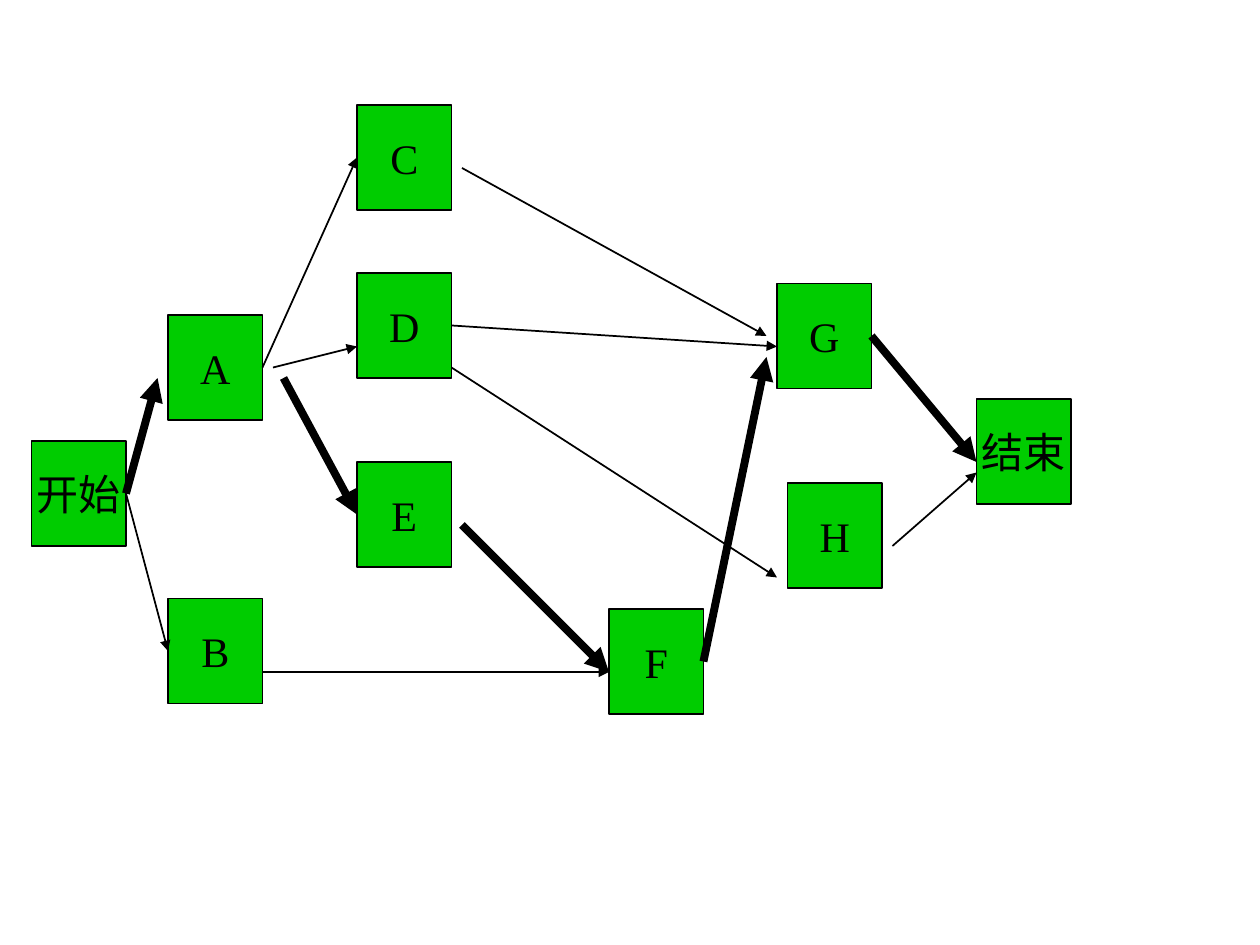
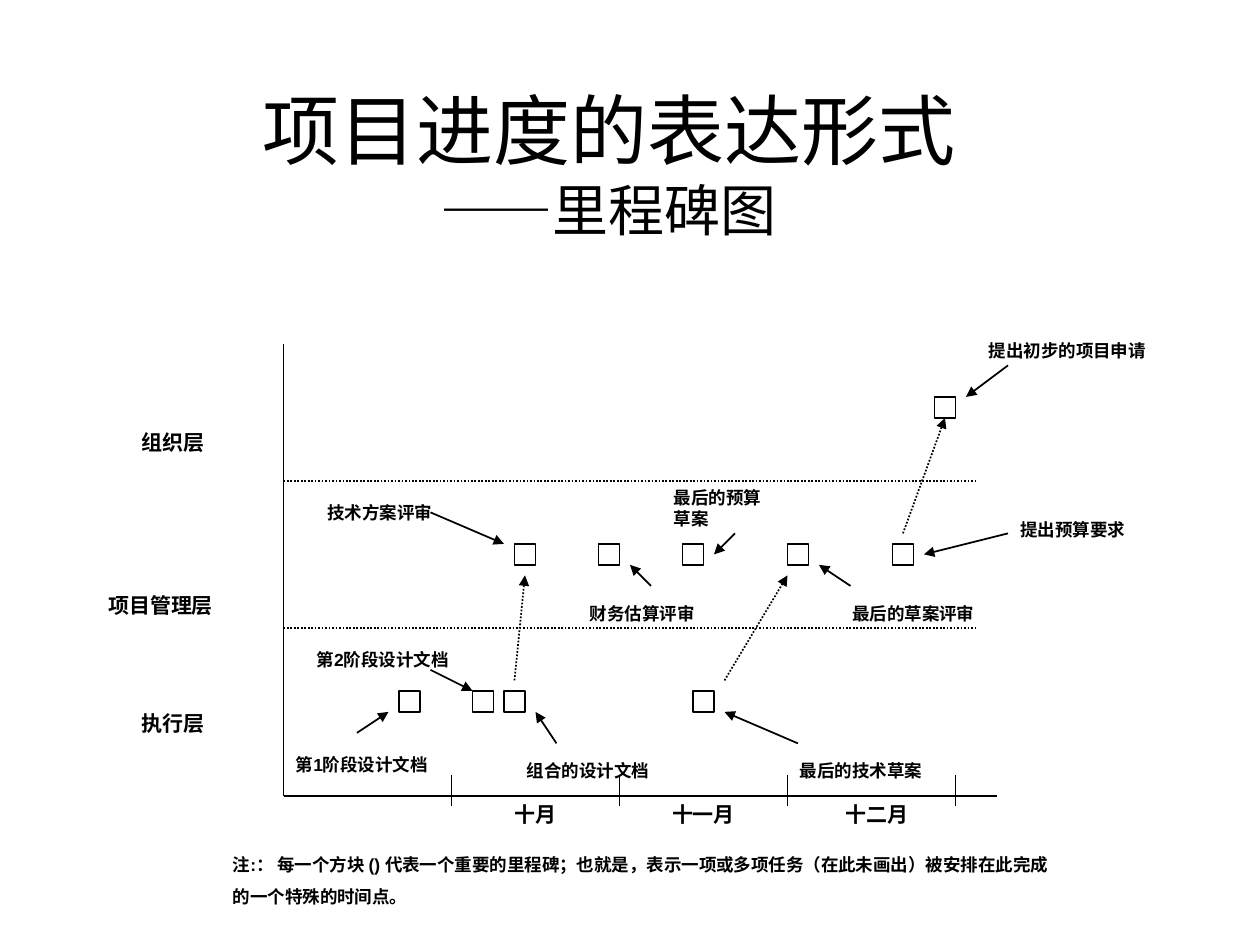
from lxml import etree
from pptx import Presentation
from pptx import util as u
from pptx.dml.color import RGBColor
from pptx.enum import dml, shapes, text
from pptx.oxml import ns

BLACK = RGBColor(0x00, 0x00, 0x00)
GREEN = RGBColor(0x00, 0xCC, 0x00)
COLUMNS, ROWS = 120, 90
THIN, THICK = 1, 4.5
LEFT, CENTER = text.PP_ALIGN.LEFT, text.PP_ALIGN.CENTER


class Deck:
    """Draws on the current slide; lengths are grid columns and rows."""

    def __init__(self):
        self.presentation = Presentation()
        self.presentation.slide_width = u.Inches(10)
        self.presentation.slide_height = u.Inches(7.5)
        self.column = self.presentation.slide_width / COLUMNS
        self.row = self.presentation.slide_height / ROWS

    def new_slide(self, shift=0):
        """Start a blank slide whose rows are moved down by shift."""
        layout = self.presentation.slide_layouts[6]
        self.slide = self.presentation.slides.add_slide(layout)
        self.shift = shift
        self.sites = {}

    def x(self, column):
        return round(column * self.column)

    def y(self, row):
        return round((row + self.shift) * self.row)

    def frame(self, left, top, width, height):
        return (self.x(left), self.y(top),
                round(width * self.column), round(height * self.row))

    def add_run(self, paragraph, words, size, font, bold=False):
        run = paragraph.add_run()
        run.text = words
        run.font.size = u.Pt(size)
        run.font.name = font
        run.font.bold = bold
        run.font.color.rgb = BLACK

    def box(self, left, top, width, height, fill=None, words=None):
        """Add an outlined rectangle and note the middles of its sides."""
        shape = self.slide.shapes.add_shape(
            shapes.MSO_SHAPE.RECTANGLE, *self.frame(left, top, width, height))
        shape.shadow.inherit = False
        shape.line.color.rgb = BLACK
        shape.line.width = u.Pt(THIN)
        if fill is None:
            shape.fill.background()
        else:
            shape.fill.solid()
            shape.fill.fore_color.rgb = fill
        if words:
            shape.text_frame.word_wrap = False
            shape.text_frame.vertical_anchor = text.MSO_ANCHOR.MIDDLE
            paragraph = shape.text_frame.paragraphs[0]
            paragraph.alignment = CENTER
            self.add_run(paragraph, words, 24, "Times New Roman")
        middle_x, middle_y = left + width / 2, top + height / 2
        middles = [(middle_x, top), (left, middle_y),
                   (middle_x, top + height), (left + width, middle_y)]
        for site, point in enumerate(middles):
            self.sites[point] = shape, site

    def line(self, start, end, weight=THIN, dotted=False, arrow=False):
        """Add a line, joined to any rectangle side whose middle it meets."""
        connector = self.slide.shapes.add_connector(
            shapes.MSO_CONNECTOR.STRAIGHT, self.x(start[0]), self.y(start[1]),
            self.x(end[0]), self.y(end[1]))
        if start in self.sites:
            connector.begin_connect(*self.sites[start])
        if end in self.sites:
            connector.end_connect(*self.sites[end])
        connector.line.color.rgb = BLACK
        connector.line.width = u.Pt(weight)
        if dotted:
            connector.line.dash_style = dml.MSO_LINE.ROUND_DOT
        if arrow:
            outline = connector.line._get_or_add_ln()
            etree.SubElement(outline, ns.qn("a:tailEnd"), type="triangle")
        etree.SubElement(connector._element.spPr, ns.qn("a:effectLst"))

    def title(self, left, top, width, height, heading, subheading):
        shape = self.slide.shapes.add_textbox(*self.frame(left, top, width, height))
        shape.text_frame.word_wrap = True
        shape.text_frame.vertical_anchor = text.MSO_ANCHOR.MIDDLE
        paragraph = shape.text_frame.paragraphs[0]
        paragraph.alignment = CENTER
        self.add_run(paragraph, heading, 44, "Cabin")
        paragraph.add_line_break()
        self.add_run(paragraph, subheading, 32, "Cabin")

    def label(self, left, bottom, width, *lines, height=3.2, size=10,
              align=LEFT, spacing=None):
        """Add bold text that stands on the given row."""
        shape = self.slide.shapes.add_textbox(
            *self.frame(left, bottom - height, width, height))
        text_frame = shape.text_frame
        text_frame.word_wrap = True
        text_frame.auto_size = text.MSO_AUTO_SIZE.SHAPE_TO_FIT_TEXT
        text_frame.vertical_anchor = text.MSO_ANCHOR.BOTTOM
        for index, words in enumerate(lines):
            if index:
                paragraph = text_frame.add_paragraph()
                paragraph.space_before = u.Pt(6.2)
            else:
                paragraph = text_frame.paragraphs[0]
            paragraph.alignment = align
            if spacing:
                paragraph.line_spacing = spacing
            self.add_run(paragraph, words, size, "Arial", bold=True)


def draw_network(deck):
    deck.new_slide()

    # Tasks
    tasks = [("开始", 3, 42), ("A", 16, 30), ("B", 16, 57), ("E", 34, 44),
             ("D", 34, 26), ("C", 34, 10), ("F", 58, 58), ("G", 74, 27),
             ("H", 75, 46), ("结束", 93, 38)]
    for name, left, top in tasks:
        deck.box(left, top, 9, 10, GREEN, name)

    # Dependencies, with the critical path in thick arrows
    dependencies = [
        ((12, 47), (15, 36), THICK), ((12, 47), (16, 62), THIN),
        ((25, 35), (34, 15), THIN), ((26, 35), (34, 33), THIN),
        ((27, 36), (34, 49), THICK), ((25, 64), (58, 64), THIN),
        ((44, 50), (58, 64), THICK), ((44, 16), (73, 32), THIN),
        ((43, 35), (74, 55), THIN), ((43, 31), (74, 33), THIN),
        ((67, 63), (73, 34), THICK), ((83, 32), (93, 44), THICK),
        ((85, 52), (93, 45), THIN)]
    for start, end, weight in dependencies:
        deck.line(start, end, weight, arrow=True)


def draw_milestones(deck):
    deck.new_slide(shift=-0.2)
    deck.title(7, 8.2, 102, 15, "项目进度的表达形式", "——里程碑图")

    # Axes, layer borders and month ticks
    deck.line((27, 33), (27, 76))
    deck.line((27, 76), (95, 76))
    for row in (46, 60):
        deck.line((27, row), (93, row), dotted=True)
    for column in range(43, 92, 16):
        deck.line((column, 74), (column, 77))

    # Layer and month names
    layers = [("组织层", 44.1, 17, 0.8), ("项目管理层", 59.6, 14.6, 0.7),
              ("执行层", 70.8, 17, 0.7)]
    for name, bottom, width, spacing in layers:
        deck.label(8, bottom, width, name, height=2.9, size=12,
                   align=CENTER, spacing=spacing)
    for name, left, width in (("十月", 44, 14), ("十一月", 60, 14), ("十二月", 76, 15)):
        deck.label(left, 79.5, width, name, height=3.6, size=12, align=CENTER)

    # Milestones by layer
    milestones = {66: (38, 45, 48, 66), 52: (49, 57, 65, 75, 85), 38: (89,)}
    for top, columns in milestones.items():
        for left in columns:
            deck.box(left, top, 2, 2)

    # Links between layers
    links = [((49, 65), (50, 55)), ((69, 65), (75, 55)), ((86, 51), (90, 40))]
    for start, end in links:
        deck.line(start, end, dotted=True, arrow=True)

    # Callouts: words, left, bottom, width, arrow start and end
    callouts = [
        ("第1阶段设计文档", 27, 74.6, 17, (34, 70), (37, 68)),
        ("第2阶段设计文档", 29, 64.6, 17, (41, 64), (45, 66)),
        ("组合的设计文档", 49, 75.2, 17, (53, 71), (51, 68)),
        ("最后的技术草案", 75, 75.2, 17, (76, 71), (69, 68)),
        ("技术方案评审", 30, 50.6, 19, (41, 49), (48, 52)),
        ("提出预算要求", 96, 52.2, 15, (96, 51), (88, 53)),
        ("提出初步的项目申请", 93, 35.2, 20, (96, 35), (92, 38)),
        ("最后的草案评审", 80, 60.2, 17, (81, 56), (78, 54)),
        ("财务估算评审", 55, 60.2, 20, (62, 56), (60, 54))]
    for words, left, bottom, width, start, end in callouts:
        deck.label(left, bottom, width, words)
        deck.line(start, end, arrow=True)
    deck.label(63, 51.2, 12, "最后的预算草案", height=5.3)
    deck.line((70, 51), (68, 53), arrow=True)

    # Note
    deck.label(21, 87.2, 88,
               "注:： 每一个方块 () 代表一个重要的里程碑；也就是，"
               "表示一项或多项任务（在此未画出）被安排在此完成",
               "的一个特殊的时间点。", height=6.2)


def main():
    deck = Deck()
    draw_network(deck)
    draw_milestones(deck)
    deck.presentation.save("out.pptx")


if __name__ == "__main__":
    main()
